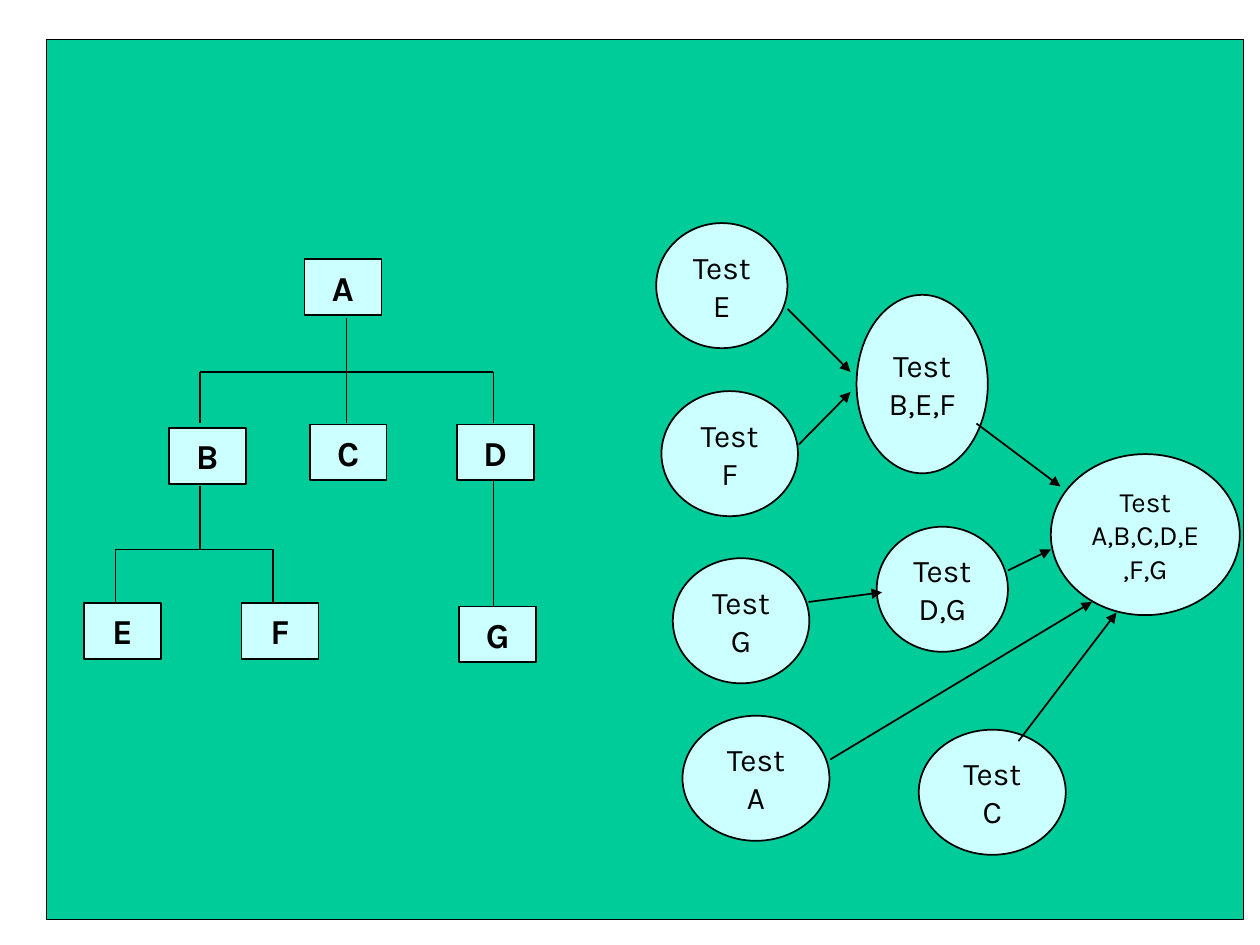
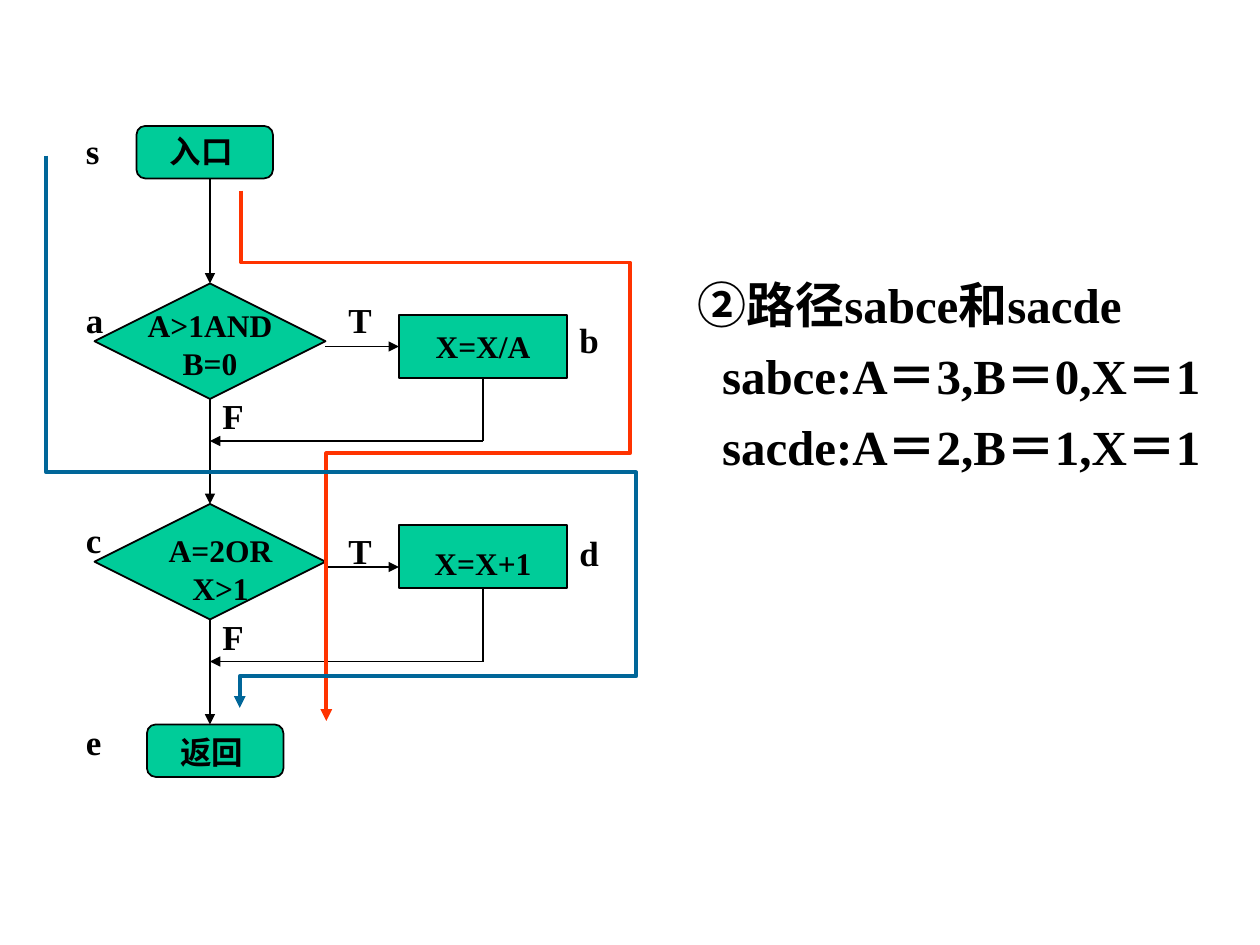
import pptx
import pptx.dml.color
import pptx.enum.shapes
import pptx.enum.text
import pptx.oxml.ns
import pptx.util
from lxml import etree

Pt = pptx.util.Pt
SHAPES = pptx.enum.shapes.MSO_SHAPE
CENTER = pptx.enum.text.PP_ALIGN.CENTER
LEFT = pptx.enum.text.PP_ALIGN.LEFT
qn = pptx.oxml.ns.qn

BLACK = "000000"
GREEN = "00CC99"
PALE = "CCFFFF"
RED = "FF3300"
BLUE = "006699"
SANS = "Karla"
SERIF = "Times New Roman"


def color(hex_string):
    """Turn a hex string into a colour."""
    return pptx.dml.color.RGBColor.from_string(hex_string)


def style_line(shape, hex_string=BLACK, width=1, arrow=False):
    """Set the colour, width and arrowhead of a line or outline."""
    shape.line.color.rgb = color(hex_string)
    shape.line.width = Pt(width)
    if arrow:
        outline = shape.element.spPr.find(qn("a:ln"))
        etree.SubElement(outline, qn("a:tailEnd"), type="triangle")


def write(frame, lines, size, name, bold=True, alignment=CENTER):
    """Fill a text frame with one paragraph for each line."""
    frame.word_wrap = True
    frame.text = "\n".join(lines)
    for paragraph in frame.paragraphs:
        paragraph.alignment = alignment
        paragraph.font.size = Pt(size)
        paragraph.font.name = name
        paragraph.font.bold = bold
        paragraph.font.color.rgb = color(BLACK)


def add_figure(slide, kind, left, top, width, height, fill, line_width=1):
    """Add a filled, outlined preset shape."""
    shape = slide.shapes.add_shape(kind, Pt(left), Pt(top), Pt(width), Pt(height))
    shape.shadow.inherit = False
    shape.fill.solid()
    shape.fill.fore_color.rgb = color(fill)
    style_line(shape, width=line_width)
    return shape


def add_lines(slide, left, top, segments, arrow=False):
    """Add straight lines given as start and end offsets from a corner."""
    for x1, y1, x2, y2 in segments:
        line = slide.shapes.add_connector(
            pptx.enum.shapes.MSO_CONNECTOR.STRAIGHT,
            Pt(left + x1), Pt(top + y1), Pt(left + x2), Pt(top + y2))
        style_line(line, arrow=arrow)
        etree.SubElement(line.element.spPr, qn("a:effectLst"))


def add_text(slide, left, top, width, height, text, size, alignment=LEFT):
    """Add a bold serif text box."""
    box = slide.shapes.add_textbox(Pt(left), Pt(top), Pt(width), Pt(height))
    write(box.text_frame, [text], size, SERIF, alignment=alignment)


def add_module_tree(slide, left, top):
    """Draw the hierarchy of modules A to G."""
    modules = {"A": (126, 0), "B": (48.5, 96.5), "C": (129, 94.5), "D": (213, 94.5),
               "E": (0, 196.5), "F": (90, 196.5), "G": (214.5, 198.5)}
    for module, (x, y) in modules.items():
        shape = add_figure(slide, SHAPES.RECTANGLE, left + x, top + y, 44, 32, PALE)
        write(shape.text_frame, [module], 20, SANS)
    branches = [(150, 34, 150, 94), (66.5, 64.5, 234, 64.5),
                (66.5, 130, 66.5, 166), (18, 166, 108, 166), (234, 127, 234, 199)]
    branches += [(x, 64.5, x, 94) for x in (66.5, 234)]
    branches += [(x, 166, x, 196) for x in (18, 108)]
    add_lines(slide, left, top, branches)


def add_test_sequence(slide, left, top):
    """Draw the order in which the modules are tested together."""
    tests = [("E", 0, 0, 75, 71.5, 18), ("F", 3, 96, 78, 71.5, 18),
             ("G", 9.5, 191.5, 78, 71.5, 18), ("A", 15, 281.5, 84, 71.5, 18),
             ("C", 150, 289.5, 84, 71.5, 18), ("D,G", 126, 173.5, 75, 71.5, 18),
             ("B,E,F", 114.5, 41, 75, 102, 18),
             ("A,B,C,D,E,F,G", 225.5, 132, 108, 92, 16)]
    for modules, x, y, width, height, size in tests:
        shape = add_figure(slide, SHAPES.OVAL, left + x, top + y, width, height, PALE)
        write(shape.text_frame, ["Test", modules], size, SANS, bold=False)
    add_lines(slide, left, top, [
        (75, 49, 111, 85), (81.5, 126.5, 111, 96.5), (183, 114.5, 231, 150.5),
        (87, 216.5, 129, 211), (201, 198.5, 225.5, 186.5),
        (99.5, 306.5, 249, 216.5), (207, 296, 263, 222.5)], arrow=True)


def add_flowchart(slide, left, top):
    """Draw the flowchart with its node and branch labels."""
    terminal = SHAPES.FLOWCHART_ALTERNATE_PROCESS
    decision = SHAPES.FLOWCHART_DECISION
    for kind, x, y, width, height in [
            (terminal, 24, 0, 78, 30), (decision, 0, 90, 132, 66),
            (decision, 0, 216, 132, 66), (terminal, 30, 342, 78, 30),
            (SHAPES.RECTANGLE, 174, 108, 96, 36), (SHAPES.RECTANGLE, 174, 228, 96, 36)]:
        add_figure(slide, kind, left + x, top + y, width, height, GREEN)
    flows = [(66, y, 66, y + 60) for y in (30, 156, 282)]
    flows += [(132, y, 174, y) for y in (126, 252)]
    flows += [(222, y, 66, y) for y in (180, 306)]
    add_lines(slide, left, top, flows, arrow=True)
    add_lines(slide, left, top, [(222, 144, 222, 180), (222, 264, 222, 306)])
    for text, x, y, width, height, alignment in [
            ("入口", 36, 0, 66, 29, LEFT), ("返回", 42, 343.5, 66, 29, LEFT),
            ("A>1AND B=0", 18, 99.5, 96, 50, CENTER),
            ("A=2OR X>1", 24, 228, 96, 50, CENTER),
            ("X=X/A", 174, 111.5, 96, 29, CENTER),
            ("X=X+1", 174, 235.5, 96, 29, CENTER)]:
        add_text(slide, left + x, top + y, width, height, text, 18, alignment)
    for text, x, y in [("s", -12, -1.5), ("a", -12, 95), ("c", -12, 221),
                       ("e", -12, 336), ("b", 270, 106.5), ("d", 270, 228),
                       ("T", 138, 95), ("T", 138, 227), ("F", 66, 150), ("F", 66, 276)]:
        add_text(slide, left + x, top + y, 30, 32, text, 20)


def add_route(slide, left, top, hex_string, points):
    """Draw one execution path as an open polyline with an arrowhead."""
    vertices = [(Pt(left + x), Pt(top + y)) for x, y in points]
    builder = slide.shapes.build_freeform(*vertices[0])
    builder.add_line_segments(vertices[1:], close=False)
    route = builder.convert_to_shape()
    route.shadow.inherit = False
    route.fill.background()
    style_line(route, hex_string, 2.25, arrow=True)


def add_path_notes(slide, left, top, width, height):
    """Write the two paths and the input values that drive them."""
    box = slide.shapes.add_textbox(Pt(left), Pt(top), Pt(width), Pt(height))
    lines = ["②路径sabce和sacde", "sabce:A＝3,B＝0,X＝1", "sacde:A＝2,B＝1,X＝1"]
    write(box.text_frame, lines, 28, SERIF, alignment=LEFT)
    for index, paragraph in enumerate(box.text_frame.paragraphs):
        properties = paragraph._p.get_or_add_pPr()
        properties.set("marL", str(Pt(27)))
        properties.set("indent", str(Pt(-13 if index else -27)))
        if index:
            paragraph.space_before = Pt(7)


def build_integration_slide(slide):
    """Build the slide on the order of integration tests."""
    add_figure(slide, SHAPES.RECTANGLE, 26.5, 22.5, 684, 503, GREEN, 0.75)
    add_module_tree(slide, 48, 148)
    add_test_sequence(slide, 375, 127.5)


def build_coverage_slide(slide):
    """Build the slide on paths through the flowchart."""
    left, top = 54, 72
    add_path_notes(slide, 391.5, 153.5, 312, 324)
    add_flowchart(slide, left, top)
    add_route(slide, left, top, RED, [
        (84, 37), (84, 78), (306, 78), (306, 187), (132.5, 187), (132.5, 340)])
    add_route(slide, left, top, BLUE, [
        (-27.5, 17), (-27.5, 198), (309.5, 198), (309.5, 314.5), (83, 314.5), (83, 332.5)])


def main():
    """Build and save the presentation."""
    presentation = pptx.Presentation()
    presentation.slide_width = Pt(720)
    presentation.slide_height = Pt(540)
    for build in (build_integration_slide, build_coverage_slide):
        build(presentation.slides.add_slide(presentation.slide_layouts[6]))
    presentation.save("out.pptx")


if __name__ == "__main__":
    main()
